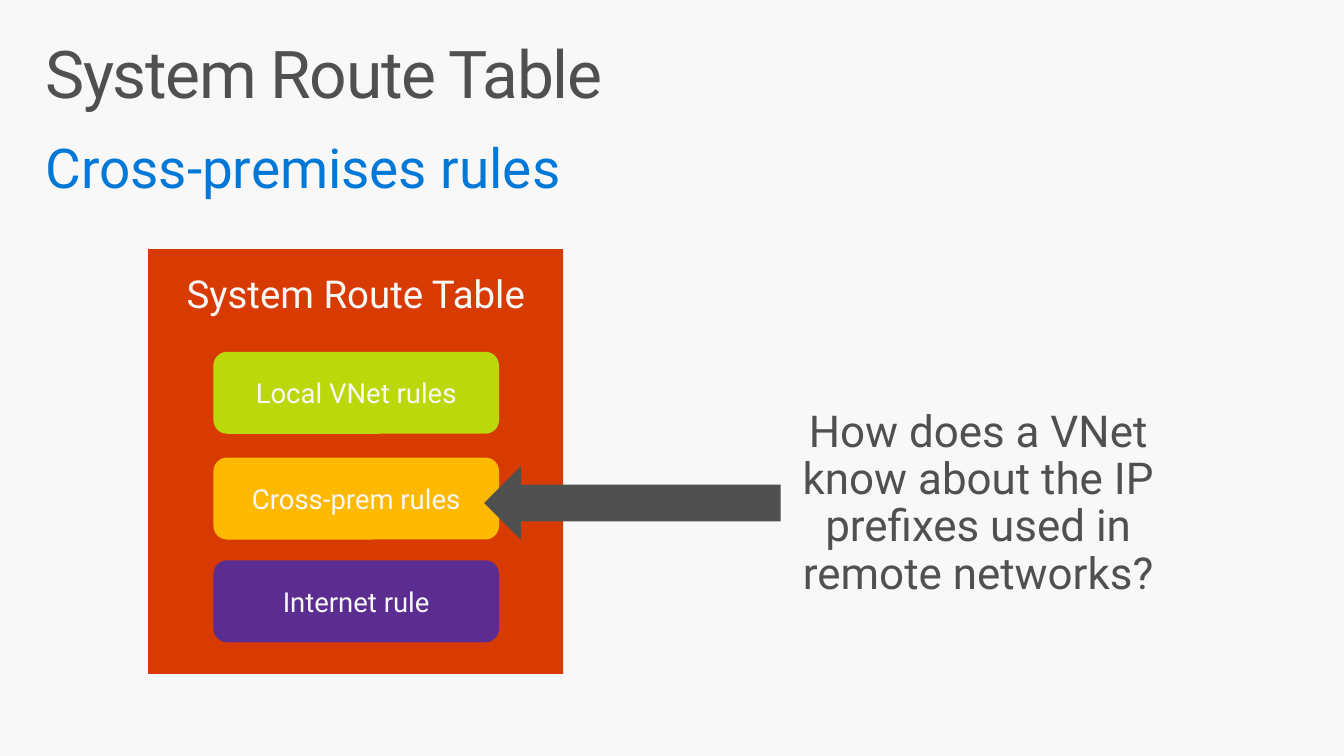
import pptx
import pptx.dml.color
import pptx.enum.shapes
import pptx.enum.text
import pptx.util

SHAPE = pptx.enum.shapes.MSO_SHAPE
ALIGN = pptx.enum.text.PP_ALIGN
ANCHOR = pptx.enum.text.MSO_ANCHOR
COLUMNS, ROWS = 136, 76.5
GREY, WHITE, BLUE = "505050", "F8F8F8", "0078D7"


def color(hex_code):
    return pptx.dml.color.RGBColor.from_string(hex_code)


def apply(target, values):
    for name, value in values.items():
        setattr(target, name, value)


class RouteSlide:
    """Draws styled elements on one slide, placed in grid columns and rows."""

    def __init__(self, deck):
        self.column = deck.slide_width / COLUMNS
        self.row = deck.slide_height / ROWS
        self.font = "Roboto"
        self.slide = deck.slides.add_slide(deck.slide_layouts[6])
        self.slide.background.fill.solid()
        self.slide.background.fill.fore_color.rgb = color(WHITE)

    def place(self, left, top, width, height):
        return (round(left * self.column), round(top * self.row),
                round(width * self.column), round(height * self.row))

    def set_words(self, frame, words, size, ink, insets, anchor, paragraph_format, tracking=0):
        side, end = (pptx.util.Inches(inset) for inset in insets)
        apply(frame, {"word_wrap": True, "vertical_anchor": anchor,
                      "margin_left": side, "margin_right": side,
                      "margin_top": end, "margin_bottom": end})
        paragraph = frame.paragraphs[0]
        apply(paragraph, paragraph_format)
        run = paragraph.add_run()
        run.text = words
        apply(run.font, {"name": self.font, "size": pptx.util.Pt(size)})
        run.font.color.rgb = color(ink)
        if tracking:
            run._r.get_or_add_rPr().set("spc", str(tracking))

    def text(self, cell, words, size, ink, insets, align=ALIGN.LEFT, tracking=0):
        box = self.slide.shapes.add_textbox(*self.place(*cell))
        self.set_words(box.text_frame, words, size, ink, insets, ANCHOR.TOP,
                       {"alignment": align, "line_spacing": 0.9}, tracking)

    def block(self, preset, cell, fill):
        block = self.slide.shapes.add_shape(preset, *self.place(*cell))
        block.shadow.inherit = False
        block.fill.solid()
        block.fill.fore_color.rgb = color(fill)
        block.line.fill.background()
        return block

    def labelled_block(self, preset, cell, fill, words, size, anchor=ANCHOR.MIDDLE, end_inset=0.05):
        block = self.block(preset, cell, fill)
        self.set_words(block.text_frame, words, size, WHITE, (0, end_inset), anchor,
                       {"alignment": ALIGN.CENTER})


def main():
    deck = pptx.Presentation()
    apply(deck, {"slide_width": pptx.util.Inches(13.6), "slide_height": pptx.util.Inches(7.65)})
    page = RouteSlide(deck)

    page.text((3, 3.2, 130, 10), "System Route Table", 48, GREY, (0.16, 0.1), tracking=-100)
    page.text((3, 13.3, 130, 8.1), "Cross-premises rules", 40, BLUE, (0.16, 0.1))

    page.labelled_block(SHAPE.RECTANGLE, (15, 25.2, 42, 43), "D83B01",
                        "System Route Table", 28, ANCHOR.TOP, 0.21)
    rules = [
        ("Local VNet rules", 35.6, "BAD80A"),
        ("Cross-prem rules", 46.3, "FFB900"),
        ("Internet rule", 56.7, "5C2D91"),
    ]
    for rule, top, fill in rules:
        page.labelled_block(SHAPE.ROUNDED_RECTANGLE, (21.6, top, 28.9, 8.3), fill, rule, 20)

    page.text((75, 39.8, 48, 22.6), "How does a VNet know about the IP prefixes used in remote networks?",
              32, GREY, (0.2, 0.16), ALIGN.CENTER)
    page.block(SHAPE.LEFT_ARROW, (49, 47.2, 30, 7.4), GREY)

    deck.save("out.pptx")


if __name__ == "__main__":
    main()
